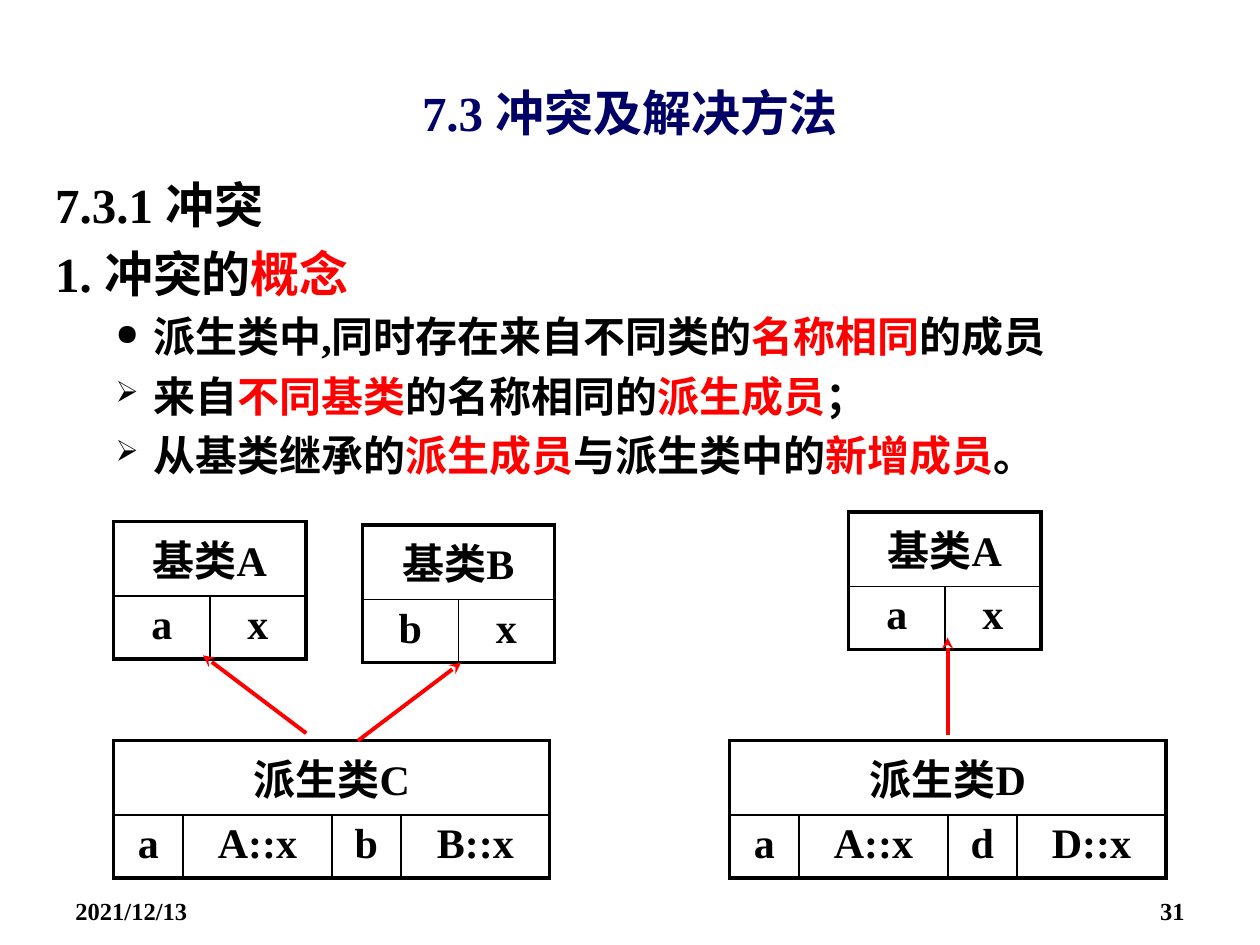
from lxml import etree
from pptx import Presentation
from pptx.dml.color import RGBColor
from pptx.enum.shapes import MSO_CONNECTOR
from pptx.enum.text import MSO_ANCHOR, PP_ALIGN
from pptx.oxml.ns import qn
from pptx.util import Pt

FONT = "Times New Roman"
BLACK, RED, NAVY = "000000", "FF0000", "000066"
OUTER, INNER = 2.25, 1
HEAD_HEIGHT, MEMBER_HEIGHT = 42.5, 33.8


def color(hex_value):
    return RGBColor.from_string(hex_value)


def add_run(paragraph, text, size, hex_value=BLACK):
    run = paragraph.add_run()
    run.text = text
    for name, value in {"name": FONT, "size": Pt(size), "bold": True}.items():
        setattr(run.font, name, value)
    run.font.color.rgb = color(hex_value)


def add_frame(slide, box, anchor=MSO_ANCHOR.TOP):
    frame = slide.shapes.add_textbox(*map(Pt, box)).text_frame
    frame.word_wrap = True
    frame.vertical_anchor = anchor
    return frame


def add_label(slide, box, text, size, align, hex_value=BLACK, anchor=MSO_ANCHOR.TOP):
    paragraph = add_frame(slide, box, anchor).paragraphs[0]
    paragraph.alignment = align
    add_run(paragraph, text, size, hex_value)


def set_bullet(paragraph, mark, margin, indent):
    props = paragraph._p.get_or_add_pPr()
    props.set("marL", str(Pt(margin)))
    props.set("indent", str(Pt(indent)))
    if mark:
        bullet_color = etree.SubElement(props, qn("a:buClr"))
        etree.SubElement(bullet_color, qn("a:srgbClr"), val=BLACK)
        etree.SubElement(props, qn("a:buSzPct"), val="70000")
        etree.SubElement(props, qn("a:buChar"), char=mark)
    else:
        etree.SubElement(props, qn("a:buNone"))


def add_outline(slide, box, items):
    """Items are (bullet mark, text parts); every second part is red."""
    frame = add_frame(slide, box)
    for index, (mark, parts) in enumerate(items):
        paragraph = frame.add_paragraph() if index else frame.paragraphs[0]
        size, margin, indent = (24, 56, -21.5) if mark else (28, 21, -21)
        set_bullet(paragraph, mark, margin, indent)
        paragraph.line_spacing = 1.05
        if index:
            paragraph.space_before = Pt(size * 0.15)
        for part_index, part in enumerate(parts):
            add_run(paragraph, part, size, RED if part_index % 2 else BLACK)


def set_borders(cell, widths):
    props = cell._tc.get_or_add_tcPr()
    for side, width in zip("LRTB", widths):
        line = etree.SubElement(props, qn(f"a:ln{side}"), w=str(Pt(width)))
        fill = etree.SubElement(line, qn("a:solidFill"))
        etree.SubElement(fill, qn("a:srgbClr"), val=BLACK)


def add_class_table(slide, left, top, widths, name, members):
    """A class name spanning the row of its members."""
    count = len(members)
    height = HEAD_HEIGHT + MEMBER_HEIGHT
    table = slide.shapes.add_table(
        2, count, Pt(left), Pt(top), Pt(sum(widths)), Pt(height)).table
    table.first_row = table.horz_banding = False
    for column, width in zip(table.columns, widths):
        column.width = Pt(width)
    for row, row_height in zip(table.rows, (HEAD_HEIGHT, MEMBER_HEIGHT)):
        row.height = Pt(row_height)
    table.cell(0, 0).merge(table.cell(0, count - 1))

    for row_index, texts in enumerate(([name], members)):
        for index in range(count):
            cell = table.cell(row_index, index)
            set_borders(cell, (
                INNER if index else OUTER,
                OUTER if index == count - 1 or row_index == 0 else INNER,
                INNER if row_index else OUTER,
                OUTER if row_index else INNER))
            cell.fill.background()
            if index < len(texts):
                paragraph = cell.text_frame.paragraphs[0]
                paragraph.alignment = PP_ALIGN.CENTER
                add_run(paragraph, texts[index], 24)


def add_arrow(slide, start, end):
    arrow = slide.shapes.add_connector(
        MSO_CONNECTOR.STRAIGHT, *map(Pt, start + end))
    arrow.line.color.rgb = color(RED)
    arrow.line.width = Pt(2.25)
    etree.SubElement(arrow.line._get_or_add_ln(), qn("a:tailEnd"), type="stealth")
    etree.SubElement(arrow._element.spPr, qn("a:effectLst"))


def add_footer(slide, left, top, width, height):
    part = 168
    add_label(slide, (left, top, part, height), "2021/12/13", 14, PP_ALIGN.LEFT)
    add_label(slide, (left + width - part, top, part, height), "31", 14,
              PP_ALIGN.RIGHT)


def add_diagrams(slide):
    base, derived = [54.9] * 2, [39.6, 85] * 2
    derived_top = 423.3
    for left, top, widths, name, members in (
            (65, 298, base, "基类A", ["a", "x"]),
            (207, 300, base, "基类B", ["b", "x"]),
            (65, derived_top, derived, "派生类C", ["a", "A::x", "b", "B::x"]),
            (485, 292.5, base, "基类A", ["a", "x"]),
            (417, derived_top, derived, "派生类D", ["a", "A::x", "d", "D::x"])):
        add_class_table(slide, left, top, widths, name, members)
    for start, end in (((175, 419), (116, 374.5)),
                       ((204.5, 423.3), (263.5, 378.7)),
                       ((541.5, 420), (541.5, 364.3))):
        add_arrow(slide, start, end)


def main():
    deck = Presentation()
    deck.slide_width, deck.slide_height = Pt(720), Pt(540)
    slide = deck.slides.add_slide(deck.slide_layouts[6])
    add_footer(slide, 36, 508.3, 648, 21)
    add_label(slide, (36, 39, 648, 50), "7.3 冲突及解决方法", 28,
              PP_ALIGN.CENTER, NAVY, MSO_ANCHOR.MIDDLE)
    add_outline(slide, (24.5, 94.3, 670, 402.5), [
        ("", ["7.3.1 冲突"]),
        ("", ["1. 冲突的", "概念"]),
        ("●", ["派生类中,同时存在来自不同类的", "名称相同", "的成员"]),
        ("➢", ["来自", "不同基类", "的名称相同的", "派生成员", "；"]),
        ("➢", ["从基类继承的", "派生成员", "与派生类中的", "新增成员", "。"]),
    ])
    add_diagrams(slide)
    deck.save("out.pptx")


if __name__ == "__main__":
    main()
